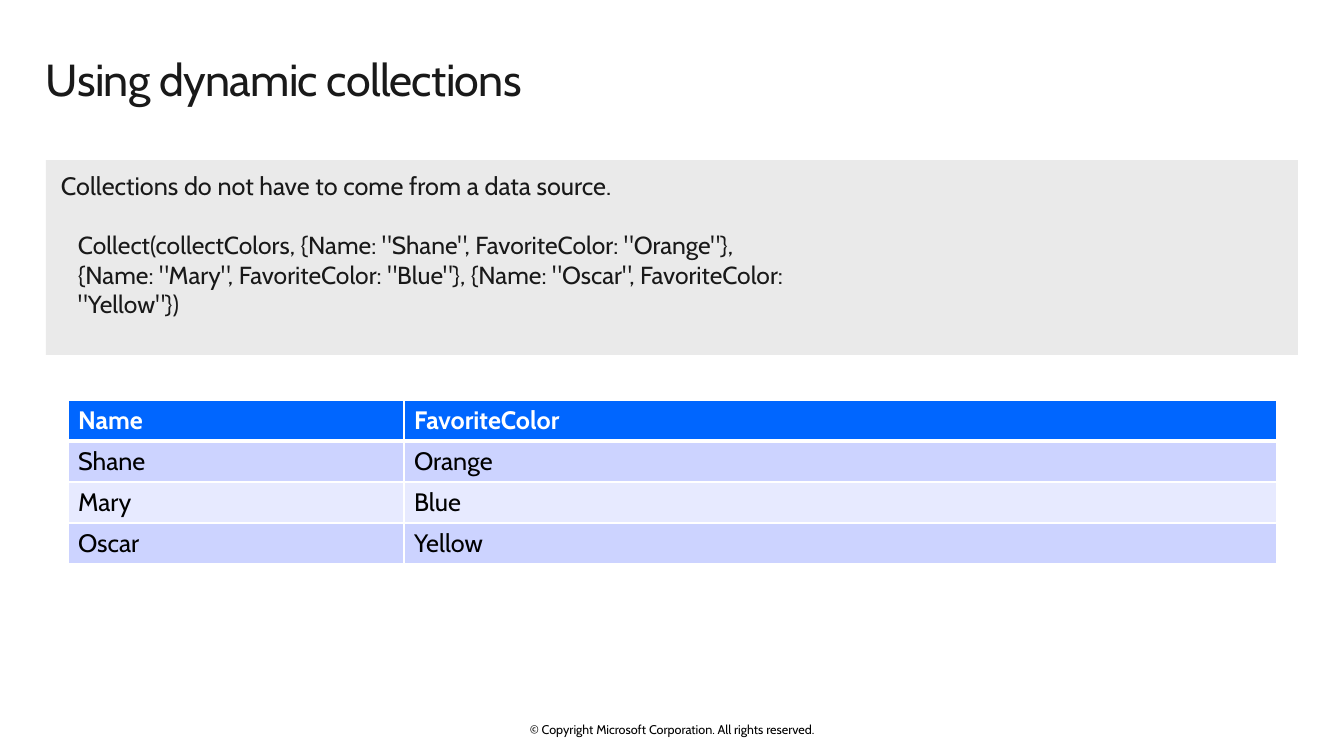
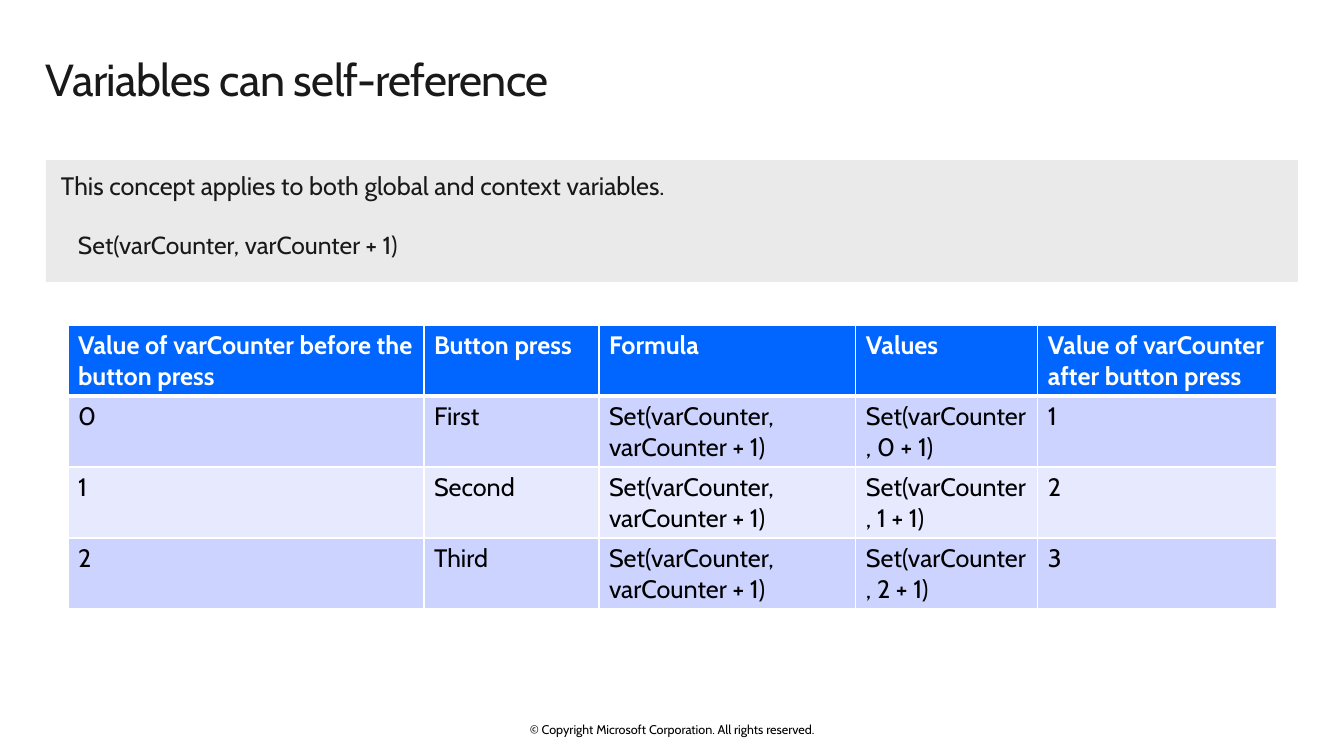
from lxml.etree import SubElement
from pptx import Presentation
from pptx.dml.color import RGBColor
from pptx.enum.text import MSO_ANCHOR as Anchor, MSO_AUTO_SIZE as AutoSize, PP_ALIGN as Align
from pptx.oxml.ns import qn
from pptx.util import Emu, Pt

FONT = "Cabin"
INK = RGBColor(0x19, 0x19, 0x19)
BLACK = RGBColor(0x00, 0x00, 0x00)
WHITE = RGBColor(0xFF, 0xFF, 0xFF)
PANEL = RGBColor(0xEA, 0xEA, 0xEA)
HEADER = RGBColor(0x00, 0x66, 0xFF)
BANDS = (RGBColor(0xCC, 0xD3, 0xFF), RGBColor(0xE7, 0xEA, 0xFF))

PAGE_WIDTH, PAGE_HEIGHT = 1344, 756
SCALE = 12192000 / PAGE_WIDTH
MARGIN, CONTENT_WIDTH = 46, 1252
INDENT = 22
PANEL_TOP = 160
FOOTER_TEXT = "© Copyright Microsoft Corporation. All rights reserved."

PAGES = [
    {
        "title": "Using dynamic collections",
        "lead": "Collections do not have to come from a data source.",
        "code": [
            'Collect(collectColors, {Name: "Shane", FavoriteColor: "Orange"},',
            '{Name: "Mary", FavoriteColor: "Blue"}, {Name: "Oscar", FavoriteColor:',
            '"Yellow"})',
        ],
        "panel_height": 195,
        "table_top": 400,
        "row_height": 41,
        "columns": [336, 873],
        "rows": [
            ["Name", "FavoriteColor"],
            ["Shane", "Orange"],
            ["Mary", "Blue"],
            ["Oscar", "Yellow"],
        ],
    },
    {
        "title": "Variables can self-reference",
        "lead": "This concept applies to both global and context variables.",
        "code": ["Set(varCounter, varCounter + 1)"],
        "panel_height": 122,
        "table_top": 325,
        "row_height": 71,
        "columns": [356, 175, 257, 182, 239],
        "rows": [
            ["Value of varCounter before the button press", "Button press",
             "Formula", "Values", "Value of varCounter after button press"],
            *([str(count), press, "Set(varCounter, varCounter + 1)",
               f"Set(varCounter, {count} + 1)", str(count + 1)]
              for count, press in enumerate(["First", "Second", "Third"])),
        ],
    },
]


def px(length):
    """Turn px into EMU."""
    return Emu(round(length * SCALE))


def place(shape, left, top, width, height):
    """Move and size a shape in px."""
    shape.left, shape.top = px(left), px(top)
    shape.width, shape.height = px(width), px(height)


def set_frame(frame, insets, anchor=Anchor.TOP, fit=AutoSize.NONE):
    """Set wrapping, anchor and the left, top, right and bottom insets."""
    frame.word_wrap = True
    frame.auto_size = fit
    frame.vertical_anchor = anchor
    (frame.margin_left, frame.margin_top,
     frame.margin_right, frame.margin_bottom) = map(px, insets)


def add_span(para, text, size, color, bold=False):
    """Add one formatted run to a paragraph."""
    span = para.add_run()
    span.text = text
    span.font.name = FONT
    span.font.size = Pt(size)
    span.font.bold = bold
    span.font.color.rgb = color
    return span


def add_footer(page):
    """Put the copyright line on the layout that the pages share."""
    box = page.shapes.add_textbox(px(445), px(722), px(454), px(15))
    set_frame(box.text_frame, (0, 0, 0, 0), Anchor.MIDDLE)
    para = box.text_frame.paragraphs[0]
    para.alignment = Align.CENTER
    add_span(para, FOOTER_TEXT, 9, BLACK)
    page.slide_layout.shapes.element.append(box.element)


def fill_title(title, text):
    """Format the title placeholder."""
    place(title, MARGIN, 48, CONTENT_WIDTH, 81)
    set_frame(title.text_frame, (0, 10, 16, 10))
    para = title.text_frame.paragraphs[0]
    para.alignment = Align.LEFT
    para.line_spacing = 0.9
    span = add_span(para, text, 32, INK)
    span.font._element.set("spc", "-50")


def fill_panel(page, body, lead, code, left, top, width, height):
    """Fill the grey panel with its lead sentence and the code below it."""
    place(body, left, top, width, height)
    body.fill.solid()
    body.fill.fore_color.rgb = PANEL
    set_frame(body.text_frame, (15, 10, 15, 10))
    para = body.text_frame.paragraphs[0]
    properties = para._p.get_or_add_pPr()
    properties.set("marL", "0")
    properties.set("indent", "0")
    SubElement(properties, qn("a:buNone"))
    para.space_before = Pt(0)
    para.space_after = Pt(12)
    add_span(para, lead, 18, INK)

    box = page.shapes.add_textbox(px(left + INDENT), px(top + 65),
                                  px(745), px(10 + 30 * len(code)))
    frame = box.text_frame
    set_frame(frame, (10, 5, 10, 5), fit=AutoSize.SHAPE_TO_FIT_TEXT)
    for index, line in enumerate(code):
        para = frame.add_paragraph() if index else frame.paragraphs[0]
        add_span(para, line, 17.6, INK)


def add_border(cell, side, width):
    """Draw one white cell border, with its width in points."""
    line = SubElement(cell._tc.get_or_add_tcPr(), qn(f"a:ln{side}"), w=str(Pt(width)))
    color = SubElement(SubElement(line, qn("a:solidFill")), qn("a:srgbClr"))
    color.set("val", str(WHITE))


def add_banded_table(page, rows, columns, left, top, row_height):
    """Add a table with a blue header row and banded body rows."""
    table = page.shapes.add_table(len(rows), len(columns), px(left), px(top),
                                  px(sum(columns)), px(row_height * len(rows))).table
    for column, width in zip(table.columns, columns):
        column.width = px(width)
    for row_index, texts in enumerate(rows):
        table.rows[row_index].height = px(row_height)
        is_header = row_index == 0
        fill = HEADER if is_header else BANDS[(row_index - 1) % 2]
        widths = {"L": 1, "R": 1, "T": 3 if row_index == 1 else 1, "B": 3 if is_header else 1}
        for column_index, text in enumerate(texts):
            cell = table.cell(row_index, column_index)
            for side, width in widths.items():
                add_border(cell, side, width)
            cell.fill.solid()
            cell.fill.fore_color.rgb = fill
            add_span(cell.text_frame.paragraphs[0], text, 18,
                     WHITE if is_header else BLACK, is_header)


def build_page(deck, content):
    """Add one page with a title, a code panel and a table."""
    page = deck.slides.add_slide(deck.slide_layouts[1])
    fill_title(page.shapes.title, content["title"])
    fill_panel(page, page.placeholders[1], content["lead"], content["code"],
               MARGIN, PANEL_TOP, CONTENT_WIDTH, content["panel_height"])
    add_banded_table(page, content["rows"], content["columns"],
                     MARGIN + INDENT, content["table_top"], content["row_height"])
    return page


def main():
    """Build and save the deck."""
    deck = Presentation()
    deck.slide_width, deck.slide_height = px(PAGE_WIDTH), px(PAGE_HEIGHT)
    pages = [build_page(deck, content) for content in PAGES]
    add_footer(pages[0])
    deck.save("out.pptx")


if __name__ == "__main__":
    main()
